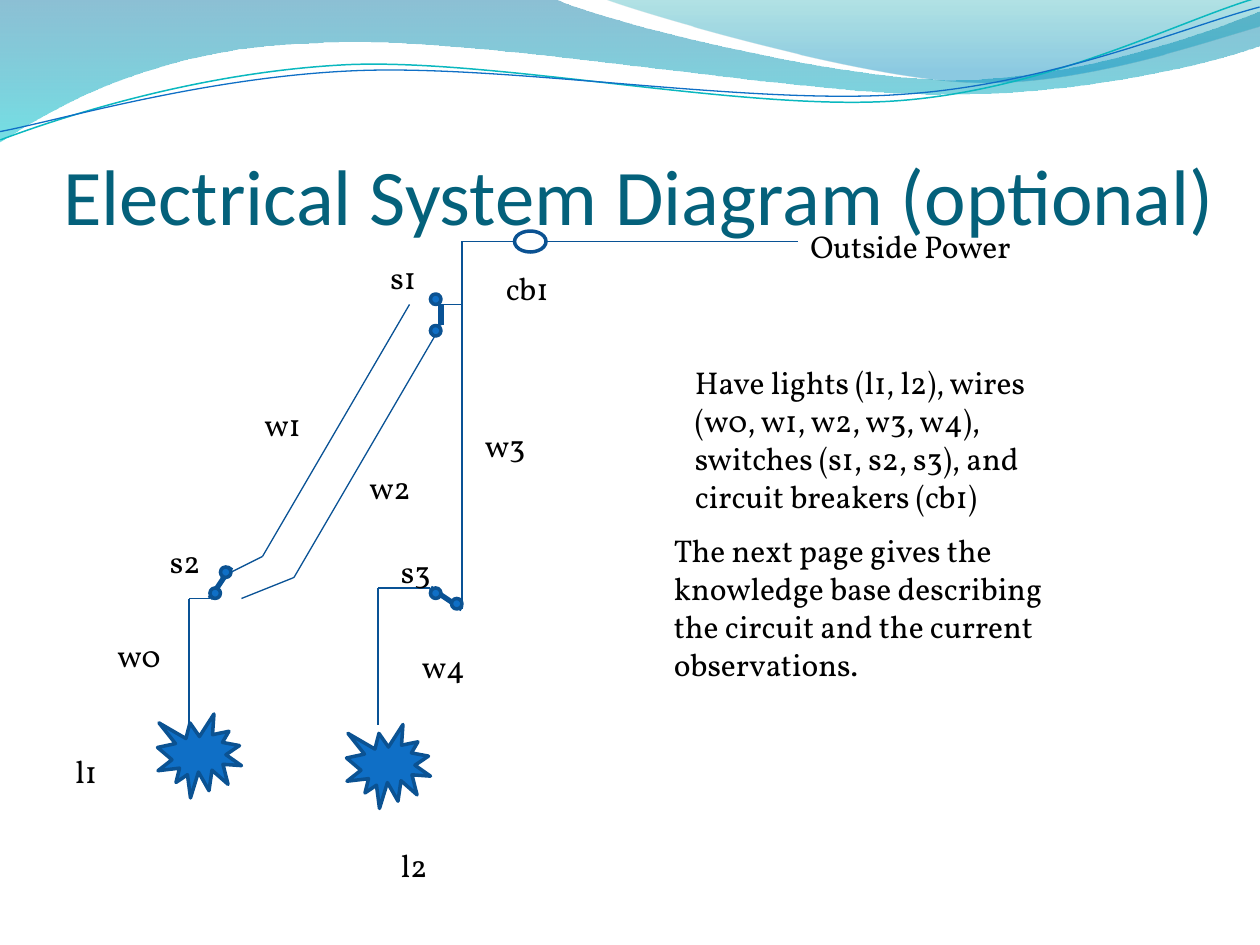
from itertools import pairwise

from lxml.etree import SubElement
from pptx import Presentation
from pptx.dml.color import RGBColor
from pptx.enum.shapes import MSO_CONNECTOR, MSO_SHAPE
from pptx.enum.text import MSO_ANCHOR, MSO_AUTO_SIZE, PP_ALIGN
from pptx.oxml.ns import qn
from pptx.util import Pt

PX = 7620
BLACK = RGBColor(0x00, 0x00, 0x00)
TITLE_TEAL = RGBColor(0x04, 0x61, 0x7B)
BLUE = RGBColor(0x0F, 0x6F, 0xC6)
OUTLINE = RGBColor(0x0B, 0x52, 0x92)
WIRE = RGBColor(0x09, 0x52, 0x95)
WAVE_TEAL = RGBColor(0x0A, 0xB8, 0xBF)
DEEP_BLUE = RGBColor(0x00, 0x74, 0xA1)
CYAN = RGBColor(0x00, 0xC6, 0xCF)
SEA_GREEN = RGBColor(0x00, 0xA1, 0xA9)
SKY = RGBColor(0x00, 0x8B, 0xBF)
WAVE_ROTATION = 357.3

BAND_WIDE = [
    [(0, 0)],
    [(528, -1)],
    [(571, 20), (797, 76), (910, 76)],
    [(1024, 76), (1150, 31), (1200, 11)],
    [(1201, 43)],
    [(1180, 53), (1044, 91), (895, 90)],
    [(746, 90), (458, 34), (308, 41)],
    [(155, 43), (55, 100), (-1, 136)],
]
BAND_RIGHT = [
    [(575, -1)],
    [(611, 13), (818, 74), (923, 78)],
    [(1027, 83), (1153, 38), (1200, 25)],
    [(1200, 0)],
]
WAVE_UPPER = [
    [(-2, 105)],
    [(57, 86), (190, 49), (333, 49)],
    [(475, 50), (710, 112), (854, 108)],
    [(999, 104), (1128, 43), (1201, 26)],
]
WAVE_LOWER = [
    [(-2, 97)],
    [(55, 89), (197, 54), (340, 55)],
    [(485, 56), (714, 106), (859, 102)],
    [(1002, 99), (1131, 50), (1202, 35)],
]

WIRES = [
    [(300, 480), (300, 350), (350, 350)],
    [(120, 480), (120, 360), (140, 360)],
    [(430, 20), (380, 20), (380, 370)],
    [(460, 20), (700, 20)],
    [(330, 80), (190, 320), (150, 340)],
    [(360, 100), (220, 340), (170, 360)],
    [(380, 80), (360, 80)],
]
SWITCHES = [
    [(380, 370), (350, 350)],
    [(140, 360), (160, 330)],
    [(360, 80), (360, 100)],
]
CONTACTS = [(350, 350), (370, 360), (140, 350), (150, 330), (350, 100), (350, 70)]
LIGHTS = [(90, 470), (270, 480)]
LABELS = [
    ("l1", 0, 500, 80),
    ("l2", 310, 590, 100),
    ("w0", 40, 390, 70),
    ("w1", 180, 170, 70),
    ("w2", 280, 230, 70),
    ("w3", 390, 190, 110),
    ("w4", 330, 400, 110),
    ("s1", 300, 30, 110),
    ("s2", 90, 300, 110),
    ("s3", 310, 310, 110),
    ("cb1", 410, 40, 110),
    ("Outside Power", 700, 0, 220),
]


def add_outline(slide, left, top, steps, closed):
    points = [((left + x) * PX, (top + y) * PX) for step in steps for x, y in step]
    builder = slide.shapes.build_freeform(*points[0])
    builder.add_line_segments(points[1:], close=closed)
    shape = builder.convert_to_shape()
    shape.shadow.inherit = False
    segments = iter(list(shape._element.iter(qn("a:lnTo"))))
    for step in steps[1:]:
        parts = [next(segments) for _ in step]
        if len(parts) == 3:
            outline = parts[0].getparent()
            curve = SubElement(outline, qn("a:cubicBezTo"))
            parts[0].addprevious(curve)
            for part in parts:
                curve.append(part[0])
                outline.remove(part)
    return shape


def add_band(slide, left, top, steps, stops):
    shape = add_outline(slide, left, top, steps, True)
    shape.line.fill.background()
    shape.fill.gradient()
    shape.fill.gradient_angle = 270
    for stop, (position, color, _) in zip(shape.fill.gradient_stops, stops):
        stop.position = position
        stop.color.rgb = color
    for element, (_, _, opacity) in zip(shape._element.iter(qn("a:srgbClr")), stops):
        SubElement(element, qn("a:alpha"), val=str(opacity * 1000))


def add_wave(slide, left, top, steps, color, width):
    shape = add_outline(slide, left, top, steps, False)
    shape.rotation = WAVE_ROTATION
    shape.fill.background()
    shape.line.color.rgb = color
    shape.line.width = Pt(width)


def add_header(slide, left, top):
    add_band(slide, left, top, BAND_WIDE, [(0, DEEP_BLUE, 45), (1, CYAN, 55)])
    add_band(slide, left, top, BAND_RIGHT, [(0, SEA_GREEN, 30), (0.8, SKY, 45)])
    add_wave(slide, left, top, WAVE_UPPER, WAVE_TEAL, 0.85)
    add_wave(slide, left, top, WAVE_LOWER, BLUE, 0.75)


def add_title(slide, left, top, width, height):
    title = slide.shapes.title
    title.left, title.top, title.width, title.height = (
        value * PX for value in (left, top, width, height)
    )
    frame = title.text_frame
    frame.text = "Electrical System Diagram (optional)"
    frame.auto_size = MSO_AUTO_SIZE.NONE
    frame.vertical_anchor = MSO_ANCHOR.BOTTOM
    frame.margin_left = frame.margin_right = frame.margin_bottom = 0
    frame.margin_top = 6 * PX
    paragraph = frame.paragraphs[0]
    paragraph.alignment = PP_ALIGN.LEFT
    paragraph.font.name = "Calibri"
    paragraph.font.size = Pt(45)
    paragraph.font.color.rgb = TITLE_TEAL


def add_text(slide, text, left, top, width, height=48):
    box = slide.shapes.add_textbox(left * PX, top * PX, width * PX, height * PX)
    frame = box.text_frame
    frame.word_wrap = True
    frame.auto_size = MSO_AUTO_SIZE.SHAPE_TO_FIT_TEXT
    frame.text = text
    font = frame.paragraphs[0].font
    font.name = "Vollkorn"
    font.size = Pt(18)
    font.color.rgb = BLACK


def add_symbol(slide, kind, left, top, width, height, filled=True):
    shape = slide.shapes.add_shape(kind, left * PX, top * PX, width * PX, height * PX)
    shape.shadow.inherit = False
    if filled:
        shape.fill.solid()
        shape.fill.fore_color.rgb = BLUE
    else:
        shape.fill.background()
    shape.line.color.rgb = OUTLINE
    shape.line.width = Pt(2)


def add_wire(slide, left, top, points, width):
    for (x1, y1), (x2, y2) in pairwise(points):
        connector = slide.shapes.add_connector(
            MSO_CONNECTOR.STRAIGHT,
            (left + x1) * PX, (top + y1) * PX, (left + x2) * PX, (top + y2) * PX,
        )
        connector.line.color.rgb = WIRE
        connector.line.width = Pt(width)
        SubElement(connector._element.spPr, qn("a:effectLst"))


def add_circuit(slide, left, top):
    for x, y in LIGHTS:
        add_symbol(slide, MSO_SHAPE.EXPLOSION1, left + x, top + y, 80, 80)
    for points in WIRES:
        add_wire(slide, left, top, points, 0.75)
    for points in SWITCHES:
        add_wire(slide, left, top, points, 3)
    for x, y in CONTACTS:
        add_symbol(slide, MSO_SHAPE.OVAL, left + x, top + y, 10, 10)
    add_symbol(slide, MSO_SHAPE.OVAL, left + 430, top + 10, 30, 20, filled=False)
    for text, x, y, width in LABELS:
        add_text(slide, text, left + x, top + y, width)


def add_notes(slide, left, top):
    add_text(slide, "Have lights (l1, l2), wires (w0, w1, w2, w3, w4), switches (s1, s2, s3), "
             "and circuit breakers (cb1)", left + 20, top, 340, 157)
    add_text(slide, "The next page gives the knowledge base describing the circuit "
             "and the current observations.", left, top + 160, 380, 157)


def main():
    presentation = Presentation()
    presentation.slide_width = 1200 * PX
    presentation.slide_height = 900 * PX
    slide = presentation.slides.add_slide(presentation.slide_layouts[5])
    add_header(slide, 0, 0)
    add_title(slide, 60, 80, 1100, 150)
    add_circuit(slide, 60, 210)
    add_notes(slide, 630, 340)
    presentation.save("out.pptx")


if __name__ == "__main__":
    main()
